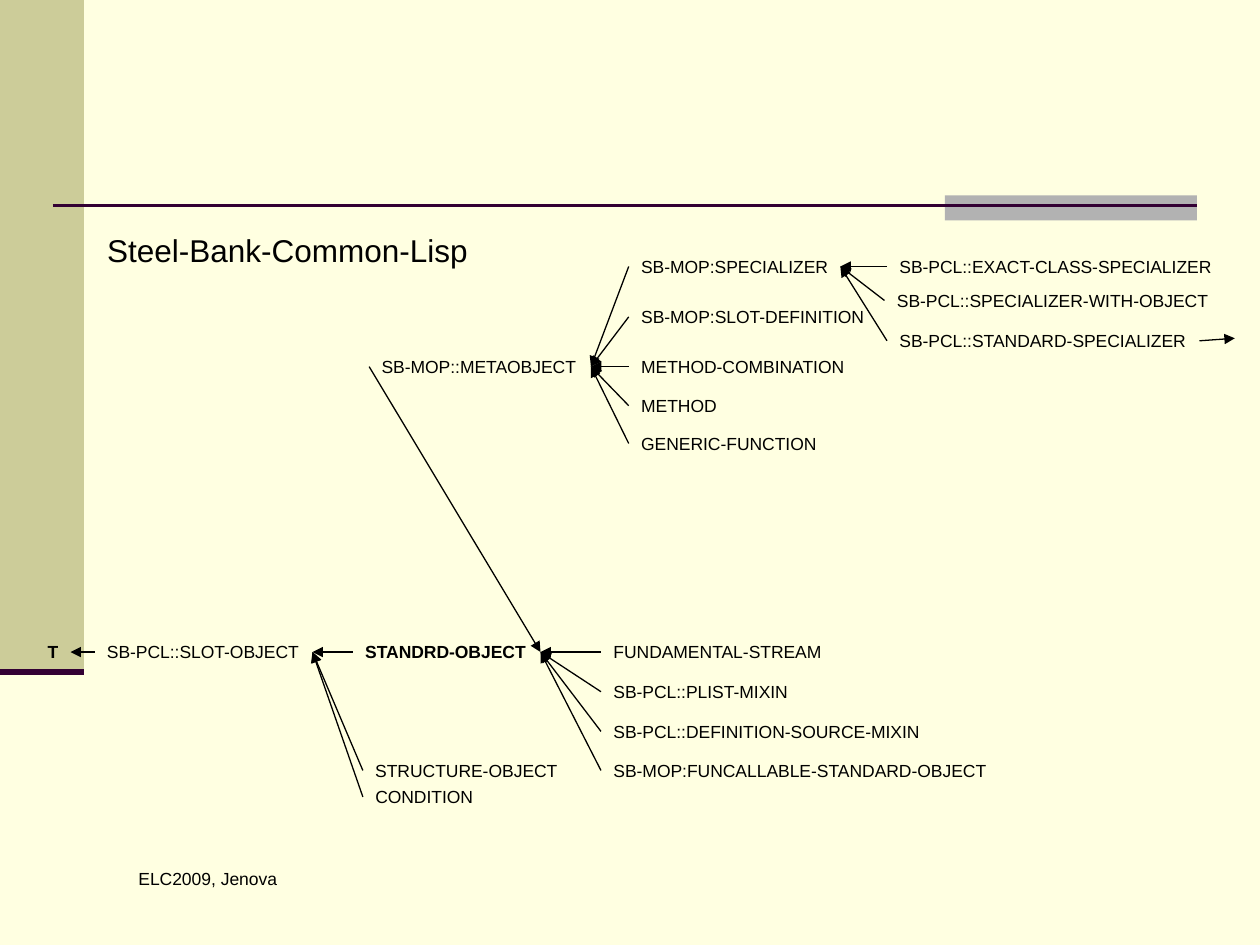
from collections import namedtuple

from lxml import etree
from pptx import Presentation
from pptx.dml.color import RGBColor
from pptx.enum.shapes import MSO_CONNECTOR, MSO_SHAPE
from pptx.enum.text import MSO_ANCHOR, MSO_AUTO_SIZE, PP_ALIGN
from pptx.oxml.ns import qn
from pptx.util import Inches, Pt

LEFT, TOP = PP_ALIGN.LEFT, MSO_ANCHOR.TOP
FIT_SHAPE, FIXED = MSO_AUTO_SIZE.SHAPE_TO_FIT_TEXT, MSO_AUTO_SIZE.NONE
STRAIGHT, RECTANGLE = MSO_CONNECTOR.STRAIGHT, MSO_SHAPE.RECTANGLE

COLORS = {"page": "FFFFE1", "band": "CCCC99", "tab": "B2B2B2",
          "rule": "330033", "ink": "000000"}
COLUMNS, ROWS = 100, 75
LABEL_HEIGHT = 2.7
SLACK = 0.2
Box = namedtuple("Box", "left top width height")
Node = namedtuple("Node", "name column row width parent")

ROOT = "STANDRD-OBJECT"
SLOT = "SB-PCL::SLOT-OBJECT"
META = "SB-MOP::METAOBJECT"
SPECIALIZER = "SB-MOP:SPECIALIZER"
STANDARD = "SB-PCL::STANDARD-SPECIALIZER"
BOLD_NAMES = {"T", ROOT}

OBJECT_NODES = [
    Node("T", 0, 0, 2.8, None),
    Node(SLOT, 4.7, 0, 17.3, "T"),
    Node(ROOT, 25.2, 0, 14.9, SLOT),
    Node("STRUCTURE-OBJECT", 26, 9.4, 16.4, SLOT),
    Node("CONDITION", 26, 11.5, 9.7, SLOT),
    Node("FUNDAMENTAL-STREAM", 44.9, 0, 18.6, ROOT),
    Node("SB-PCL::PLIST-MIXIN", 44.9, 3.15, 15.9, ROOT),
    Node("SB-PCL::DEFINITION-SOURCE-MIXIN", 44.9, 6.3, 26.3, ROOT),
    Node("SB-MOP:FUNCALLABLE-STANDARD-OBJECT", 44.9, 9.4, 31.6, ROOT),
]
META_NODES = [
    Node(META, 0, 7.95, 17.6, None),
    Node(SPECIALIZER, 20.6, 0, 16.8, META),
    Node("SB-MOP:SLOT-DEFINITION", 20.6, 4, 19.7, META),
    Node("METHOD-COMBINATION", 20.6, 7.95, 18.2, META),
    Node("METHOD", 20.6, 11.05, 8, META),
    Node("GENERIC-FUNCTION", 20.6, 14.05, 15.9, META),
    Node("SB-PCL::EXACT-CLASS-SPECIALIZER", 41.1, 0, 26.8, SPECIALIZER),
    Node("SB-PCL::SPECIALIZER-WITH-OBJECT", 40.9, 2.7, 26.6, SPECIALIZER),
    Node(STANDARD, 41.1, 5.9, 24.8, SPECIALIZER),
]


def grid(*units):
    """Turn counts of grid columns or rows into lengths."""
    return [Inches(10 * unit / COLUMNS) for unit in units]


def set_all(target, values):
    """Set every attribute named in values."""
    for name, value in values.items():
        setattr(target, name, value)


def fill_text(shape, text, size=10, bold=False, fit=True):
    """Write one left-aligned line of text into a shape."""
    frame = shape.text_frame
    set_all(frame, {"word_wrap": not fit, "vertical_anchor": TOP,
                    "auto_size": FIT_SHAPE if fit else FIXED,
                    "margin_left": Inches(0.1), "margin_right": Inches(0.1),
                    "margin_top": Inches(0.05), "margin_bottom": Inches(0.05)})
    para = frame.paragraphs[0]
    set_all(para, {"text": text, "alignment": LEFT, "space_before": Pt(0)})
    span = para.runs[0]
    set_all(span.font, {"name": "Arial", "size": Pt(size), "bold": bold})
    span.font.color.rgb = RGBColor.from_string(COLORS["ink"])


def add_label(page, box, text, **style):
    """Add a text box on the grid, a little wider than its text."""
    roomy = box._replace(width=box.width + SLACK)
    fill_text(page.shapes.add_textbox(*grid(*roomy)), text, **style)


def add_line(page, start, end, color="ink", weight=0.75, arrow=True):
    """Draw a straight line, with an arrowhead at its end if wanted."""
    line = page.shapes.add_connector(STRAIGHT, *grid(*start, *end))
    line.line.color.rgb = RGBColor.from_string(COLORS[color])
    line.line.width = Pt(weight)
    if arrow:
        outline = line.line._get_or_add_ln()
        etree.SubElement(outline, qn("a:tailEnd"), type="triangle")
    etree.SubElement(line._element.spPr, qn("a:effectLst"))


def add_block(page, box, color):
    """Draw a plain filled rectangle."""
    block = page.shapes.add_shape(RECTANGLE, *grid(*box))
    block.shadow.inherit = False
    block.fill.solid()
    block.fill.fore_color.rgb = RGBColor.from_string(COLORS[color])
    block.line.fill.background()


def left_end(box):
    """Give the middle of a box's left side."""
    return box.left, box.top + box.height / 2


def right_end(box):
    """Give the middle of a box's right side."""
    return box.left + box.width, box.top + box.height / 2


def add_backdrop(page, box):
    """Draw the side band, the corner tab and the rules."""
    band_width, band_height = box.width / 15, box.height * 0.711
    add_block(page, Box(box.left, box.top, band_width, band_height), "band")
    add_block(page, Box(box.left + box.width * 0.75, 15.5, 20, 2), "tab")
    add_line(page, (4.2, 16.3), (box.width * 0.95, 16.3), "rule", 1.5, False)
    add_line(page, (box.left, band_height), (band_width, band_height),
             "rule", 3.5, False)


def add_title(page, box, text):
    """Place and format the title placeholder."""
    title = page.shapes.title
    set_all(title, dict(zip(box._fields, grid(*box))))
    fill_text(title, text, size=18)


def add_tree(page, left, top, nodes):
    """Draw class names with arrows to their parents and return the boxes."""
    boxes = {node.name: Box(left + node.column, top + node.row,
                            node.width, LABEL_HEIGHT) for node in nodes}
    for name, box in boxes.items():
        add_label(page, box, name, bold=name in BOLD_NAMES)
    for node in nodes:
        if node.parent:
            add_line(page, left_end(boxes[node.name]),
                     right_end(boxes[node.parent]))
    return boxes


def main():
    """Build the class hierarchy slide."""
    deck = Presentation()
    deck.slide_width, deck.slide_height = grid(COLUMNS, ROWS)
    page = deck.slides.add_slide(deck.slide_layouts[5])
    page.background.fill.solid()
    page.background.fill.fore_color.rgb = RGBColor.from_string(COLORS["page"])
    add_backdrop(page, Box(0, 0, COLUMNS, ROWS))
    add_title(page, Box(7.5, 17.8, 30.6 + SLACK, 4), "Steel-Bank-Common-Lisp")
    add_label(page, Box(10, 68.4, 21.7, 5), "ELC2009, Jenova", fit=False)
    objects = add_tree(page, 2.8, 50.4, OBJECT_NODES)
    metas = add_tree(page, 29.3, 19.8, META_NODES)
    add_line(page, left_end(metas[META]), right_end(objects[ROOT]))
    column, row = right_end(metas[STANDARD])
    add_line(page, (column, row), (column + 2.8, row - 0.2))
    deck.save("out.pptx")


if __name__ == "__main__":
    main()
